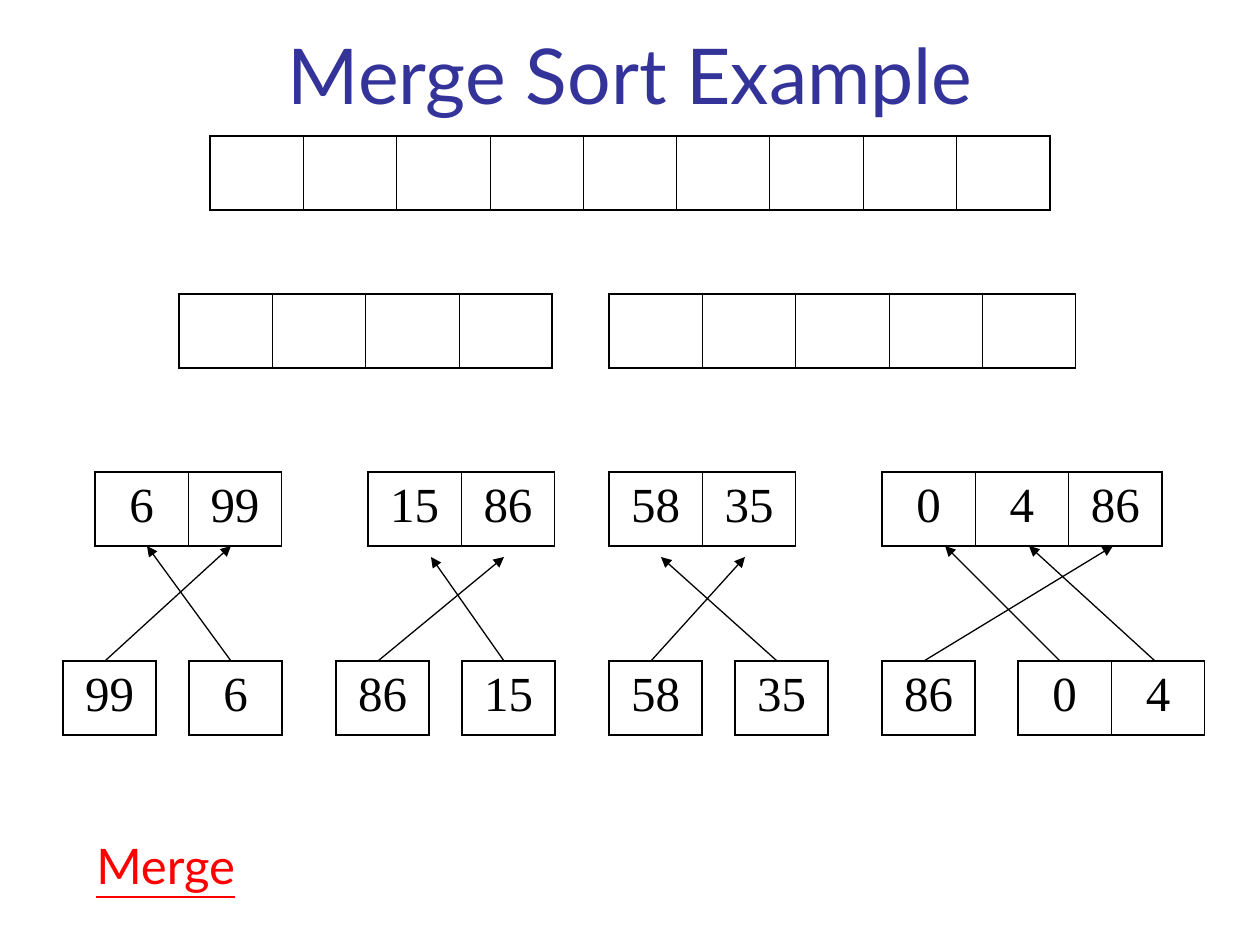
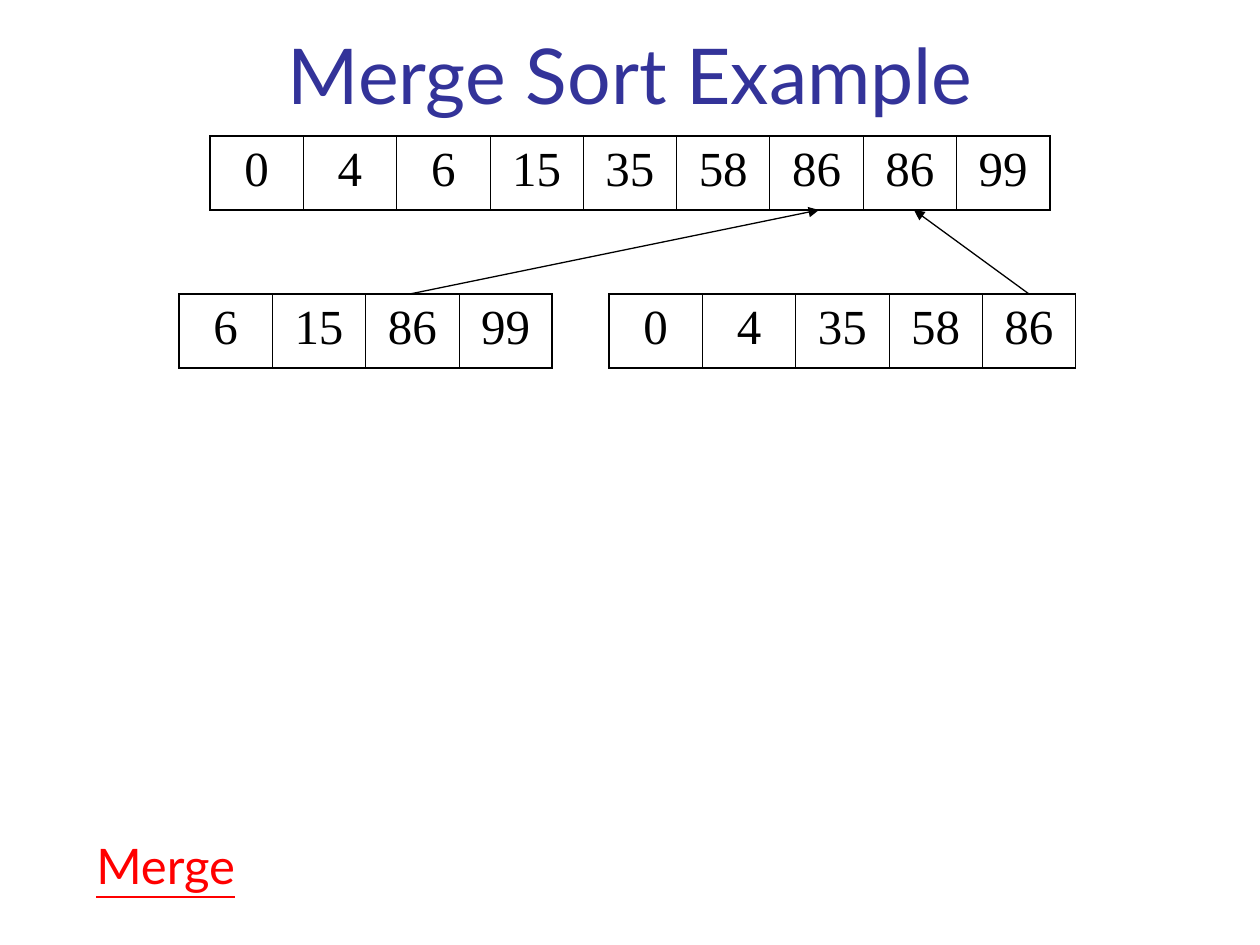
import pptx
import pptx.dml.color
import pptx.enum.shapes
import pptx.enum.text
import pptx.oxml
import pptx.oxml.ns
import pptx.util


def px(n):
    return pptx.util.Emu(round(n * pptx.util.Inches(1) / 126))


def rgb(value):
    return pptx.dml.color.RGBColor.from_string(value)


class Deck:
    HEADING, CALLOUT, INK = "333399", "FF0000", "000000"
    SANS, SERIF = "Lato", "Times New Roman"
    OUTER, INNER, ARROW = 1.08, 0.45, 0.75
    ROW_HEIGHT = 74

    def __init__(self):
        self.prs = pptx.Presentation()
        self.prs.slide_width, self.prs.slide_height = px(1260), px(945)
        self.s = None

    def slide(self, title):
        self.s = self.prs.slides.add_slide(self.prs.slide_layouts[5])
        sp = self.s.shapes.title
        sp.left, sp.top, sp.width, sp.height = px(95), px(0), px(1071), px(126)
        sp.text_frame.text = title
        sp.text_frame.vertical_anchor = pptx.enum.text.MSO_ANCHOR.BOTTOM
        self.format(sp.text_frame, 44, self.SANS, self.HEADING, centred=True)

    def format(self, tf, size, face, colour, centred=False, underline=None):
        align = pptx.enum.text.PP_ALIGN
        for p in tf.paragraphs:
            p.alignment = align.CENTER if centred else align.LEFT
            for r in p.runs:
                r.font.size = pptx.util.Pt(size)
                r.font.name = face
                r.font.color.rgb = rgb(colour)
                r.font.underline = underline

    def border(self, cell, index, side, points):
        ln = pptx.oxml.parse_xml(
            f'<a:{side} {pptx.oxml.ns.nsdecls("a")} w="{pptx.util.Pt(points)}">'
            f'<a:solidFill><a:srgbClr val="{self.INK}"/></a:solidFill></a:{side}>')
        cell._tc.get_or_add_tcPr().insert(index, ln)

    def array(self, x, y, values):
        count = len(values)
        frame = self.s.shapes.add_table(
            1, count, px(x), px(y), px(280 * count / 3), px(self.ROW_HEIGHT))
        table = frame.table
        table.first_row = table.horz_banding = False
        for i, value in enumerate(values):
            cell = table.cell(0, i)
            cell.text_frame.text = str(value)
            self.format(cell.text_frame, 28, self.SERIF, self.INK, centred=True)
            left = self.OUTER if i == 0 else self.INNER
            right = self.OUTER if i == count - 1 else self.INNER
            widths = {"lnL": left, "lnR": right, "lnT": self.OUTER, "lnB": self.OUTER}
            for index, (side, points) in enumerate(widths.items()):
                self.border(cell, index, side, points)
            cell.fill.background()

    def label(self, text):
        sp = self.s.shapes.add_textbox(px(84), px(829), px(640), px(72))
        tf = sp.text_frame
        tf.word_wrap = True
        tf.auto_size = pptx.enum.text.MSO_AUTO_SIZE.SHAPE_TO_FIT_TEXT
        tf.text = text
        self.format(tf, 28, self.SANS, self.CALLOUT, underline=True)

    def arrow(self, x1, y1, x2, y2):
        line = self.s.shapes.add_connector(
            pptx.enum.shapes.MSO_CONNECTOR.STRAIGHT, px(x1), px(y1), px(x2), px(y2))
        line.line.color.rgb = rgb(self.INK)
        line.line.width = pptx.util.Pt(self.ARROW)
        ns = pptx.oxml.ns.nsdecls("a")
        line.line._get_or_add_ln().append(
            pptx.oxml.parse_xml(f'<a:tailEnd {ns} type="triangle"/>'))
        line._element.spPr.append(pptx.oxml.parse_xml(f"<a:effectLst {ns}/>"))


def merge_slide(deck, arrays, arrows):
    deck.slide("Merge Sort Example")
    for y, row in arrays.items():
        for x, values in row:
            deck.array(x, y, values)
    deck.label("Merge")
    for ends in arrows:
        deck.arrow(*ends)


def main():
    whole, halves, pairs, singles = 136, 294, 472, 661
    deck = Deck()
    merge_slide(
        deck,
        {
            whole: [(210, [""] * 9)],
            halves: [(179, [""] * 4), (609, [""] * 5)],
            pairs: [(95, [6, 99]), (368, [15, 86]), (609, [58, 35]), (882, [0, 4, 86])],
            singles: [(63, [99]), (189, [6]), (336, [86]), (462, [15]),
                      (609, [58]), (735, [35]), (882, [86]), (1018, [0, 4])],
        },
        [(x1, singles, x2, y2) for x1, x2, y2 in [
            (1155, 1029, 546), (924, 1113, 546), (1060, 945, 546),
            (777, 661, 557), (651, 745, 557),
            (504, 431, 557), (378, 504, 557),
            (231, 147, 546), (105, 231, 546)]],
    )
    merge_slide(
        deck,
        {
            whole: [(210, [0, 4, 6, 15, 35, 58, 86, 86, 99])],
            halves: [(179, [6, 15, 86, 99]), (609, [0, 4, 35, 58, 86])],
        },
        [(x1, halves, x2, whole + deck.ROW_HEIGHT)
         for x1, x2 in [(410, 819), (1029, 914)]],
    )
    deck.prs.save("out.pptx")


if __name__ == "__main__":
    main()
